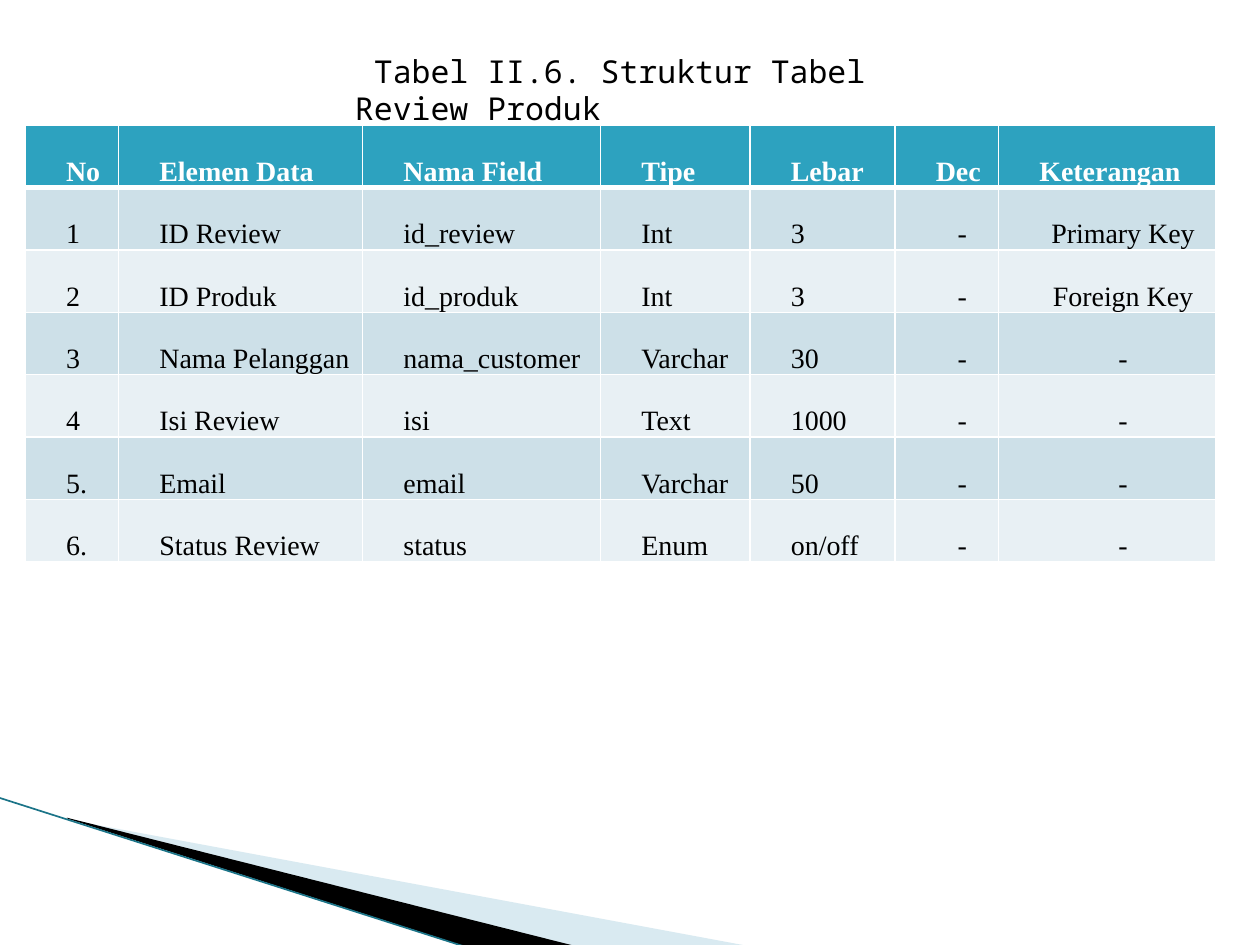
import pptx
import pptx.dml.color
import pptx.enum.shapes
import pptx.enum.text
import pptx.oxml
import pptx.oxml.ns
import pptx.util
from lxml import etree

Pt = pptx.util.Pt
qn = pptx.oxml.ns.qn

HEADER = ["No", "Elemen Data", "Nama Field", "Tipe", "Lebar", "Dec", "Keterangan"]
FIELDS = [
    ["1", "ID Review", "id_review", "Int", "3", "-", "Primary Key"],
    ["2", "ID Produk", "id_produk", "Int", "3", "-", "Foreign Key"],
    ["3", "Nama Pelanggan", "nama_customer", "Varchar", "30", "-", "-"],
    ["4", "Isi Review", "isi", "Text", "1000", "-", "-"],
    ["5.", "Email", "email", "Varchar", "50", "-", "-"],
    ["6.", "Status Review", "status", "Enum", "on/off", "-", "-"],
]
COLUMN_WIDTHS = [53.3, 139.5, 136, 85.4, 82.8, 59.2, 124.4]
ROW_HEIGHT = 35.65
HEADER_FILL = "2DA2BF"
BAND_FILLS = ["CDE0E8", "E8F0F4"]
CENTERED_FROM = 5


def color(value):
    return pptx.dml.color.RGBColor.from_string(value)


def add_run(paragraph, text, font_name, size, font_color, bold=False):
    run = paragraph.add_run()
    run.text = text
    run.font.name = font_name
    run.font.size = Pt(size)
    run.font.bold = bold
    run.font.color.rgb = color(font_color)


def add_wedge(slide, points, fill, opacity=100):
    """Filled outline without a line; opacity is in percent."""
    corners = [(Pt(x), Pt(y)) for x, y in points]
    builder = slide.shapes.build_freeform(*corners[0], scale=1.0)
    builder.add_line_segments(corners[1:], close=True)
    shape = builder.convert_to_shape()
    shape.shadow.inherit = False
    shape.fill.solid()
    shape.fill.fore_color.rgb = color(fill)
    shape.line.fill.background()
    if opacity < 100:
        rgb = shape.fill._xPr.find(".//" + qn("a:srgbClr"))
        etree.SubElement(rgb, qn("a:alpha"), val=str(opacity * 1000))


def add_line(slide, start, end, line_color, width):
    points = [Pt(value) for value in (*start, *end)]
    connector = slide.shapes.add_connector(
        pptx.enum.shapes.MSO_CONNECTOR.STRAIGHT, *points)
    connector.line.color.rgb = color(line_color)
    connector.line.width = Pt(width)
    etree.SubElement(connector._element.spPr, qn("a:effectLst"))


def set_borders(cell, line_color, **widths):
    """Border widths in points, keyed by L, R, T and B."""
    properties = cell._tc.get_or_add_tcPr()
    for index, side in enumerate("LRTB"):
        line = etree.Element(qn("a:ln" + side), w=str(Pt(widths.get(side, 1))))
        solid = etree.SubElement(line, qn("a:solidFill"))
        etree.SubElement(solid, qn("a:srgbClr"), val=line_color)
        properties.insert(index, line)


def fill_cell(cell, text, fill, font_color, bold, centered):
    cell.fill.solid()
    cell.fill.fore_color.rgb = color(fill)
    cell.vertical_anchor = pptx.enum.text.MSO_ANCHOR.BOTTOM
    cell.margin_left = cell.margin_right = Pt(5.4)
    cell.margin_top = cell.margin_bottom = 0
    paragraph = cell.text_frame.paragraphs[0]
    paragraph.line_spacing = 1.5
    if centered:
        paragraph.alignment = pptx.enum.text.PP_ALIGN.CENTER
    indent = paragraph._p.get_or_add_pPr()
    indent.set("marL", str(Pt(18)))
    indent.set("indent", "0")
    add_run(paragraph, text, "Times New Roman", 16, font_color, bold)


def add_field_table(slide, left, top):
    rows = [HEADER] + FIELDS
    table = slide.shapes.add_table(
        len(rows), len(HEADER), Pt(left), Pt(top),
        Pt(sum(COLUMN_WIDTHS)), Pt(ROW_HEIGHT * len(rows))).table
    for column, width in zip(table.columns, COLUMN_WIDTHS):
        column.width = Pt(width)
    for row_index, texts in enumerate(rows):
        table.rows[row_index].height = Pt(ROW_HEIGHT)
        is_header = row_index == 0
        fill = HEADER_FILL if is_header else BAND_FILLS[(row_index - 1) % 2]
        for column_index, text in enumerate(texts):
            cell = table.cell(row_index, column_index)
            centered = not is_header and column_index >= CENTERED_FROM
            fill_cell(cell, text, fill, "FFFFFF" if is_header else "000000",
                      is_header, centered)
            set_borders(cell, "FFFFFF", T=3 if row_index == 1 else 1,
                        B=3 if is_header else 1)


def add_title(slide, text, left, top, width, height):
    box = slide.shapes.add_textbox(Pt(left), Pt(top), Pt(width), Pt(height))
    frame = box.text_frame
    frame.word_wrap = True
    frame.auto_size = pptx.enum.text.MSO_AUTO_SIZE.SHAPE_TO_FIT_TEXT
    add_run(frame.paragraphs[0], text, "Noto Sans Mono", 18, "000000")


def main():
    presentation = pptx.Presentation()
    presentation.slide_width = Pt(720)
    presentation.slide_height = Pt(540)
    slide = presentation.slides.add_slide(presentation.slide_layouts[6])
    add_wedge(slide, [(39.6, 468.5), (428.4, 540.7), (328.3, 540.7), (39.6, 468)],
              "A0CBDC", 40)
    add_wedge(slide, [(38.2, 467.3), (329, 540.7), (267.8, 541.4), (38.9, 468)],
              "000000")
    add_line(slide, (-0.7, 455.8), (267.1, 541.4), "1B7488", 0.95)
    add_field_table(slide, 14.4, 71.6)
    add_title(slide, " Tabel II.6. Struktur Tabel Review Produk", 195.8, 26, 380, 29)
    presentation.save("out.pptx")


if __name__ == "__main__":
    main()
